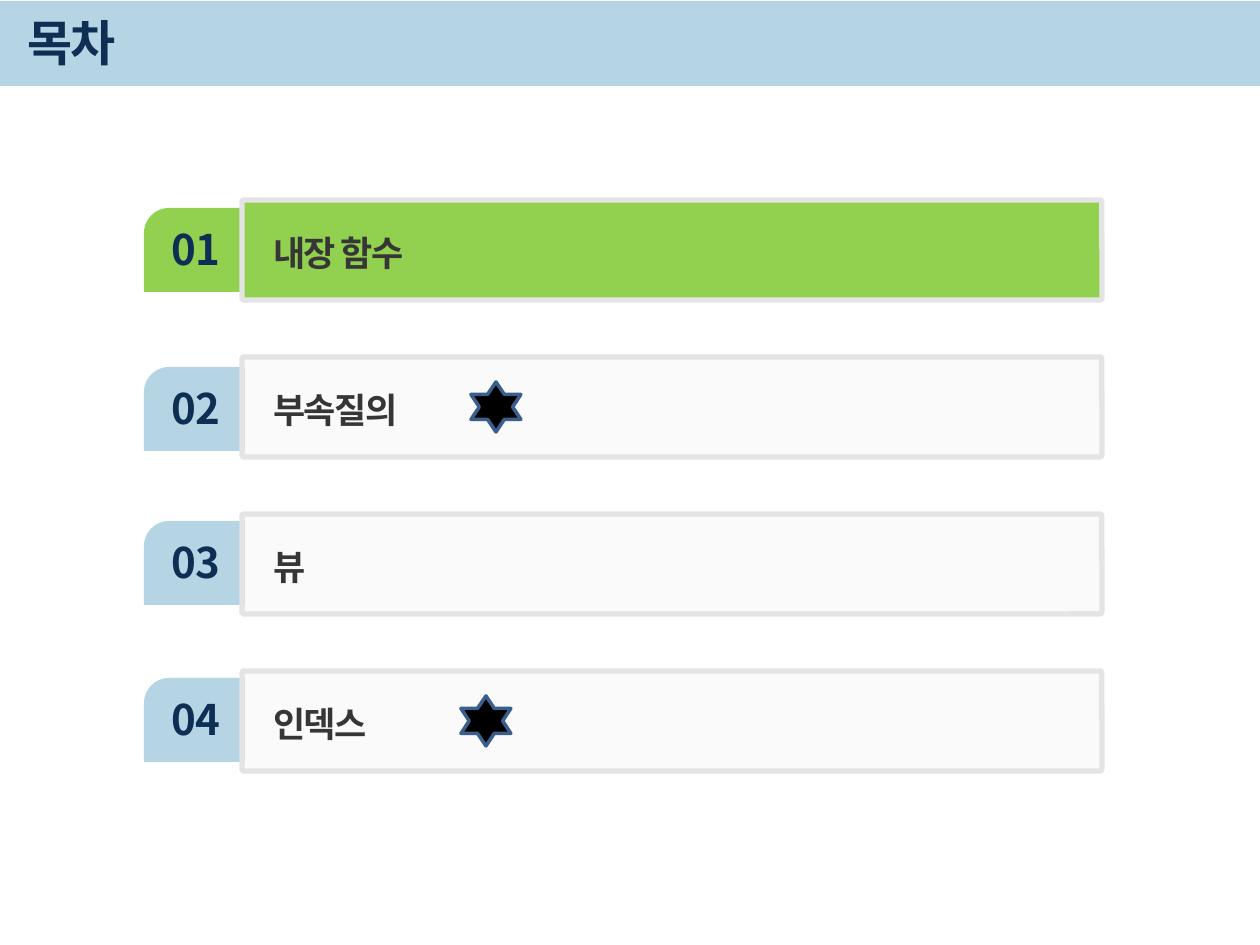
from lxml.etree import SubElement
from pptx import Presentation
from pptx.dml.color import RGBColor
from pptx.enum.shapes import MSO_SHAPE
from pptx.enum.text import MSO_ANCHOR, MSO_AUTO_SIZE, PP_ALIGN
from pptx.oxml.ns import qn
from pptx.util import Pt

PX = 914400 // 126
FACE = "Noto Sans CJK KR"
BLUE = RGBColor(0xB5, 0xD5, 0xE4)
GREEN = RGBColor(0x92, 0xD0, 0x50)
NAVY = RGBColor(0x0F, 0x2E, 0x53)
INK = RGBColor(0x36, 0x36, 0x36)
PALE = RGBColor(0xF2, 0xF2, 0xF2)
EDGE = RGBColor(0xE4, 0xE4, 0xE4)
BLACK = RGBColor(0, 0, 0)
STEEL = RGBColor(0x3A, 0x5F, 0x8C)

TITLE = "목차"
ROWS = [
    {"label": "내장 함수", "tab": 208, "active": True},
    {"label": "부속질의", "tab": 367, "star": 471},
    {"label": "뷰", "tab": 521},
    {"label": "인덱스", "tab": 678, "star": 461},
]
TOP, PITCH = 200, 157

HEAD = {"size": Pt(28), "bold": True, "name": FACE}
NUM = {"size": Pt(24), "bold": True, "name": FACE}
LABEL = {"size": Pt(20), "bold": True, "name": FACE}
TIGHT = {"word_wrap": False, "margin_left": 0, "margin_right": 0,
         "auto_size": MSO_AUTO_SIZE.SHAPE_TO_FIT_TEXT}


def scale(*box):
    return [n * PX for n in box]


def draw(slide, kind, box, fill, line=None, width=0, adj=(), alpha=None):
    shape = slide.shapes.add_shape(kind, *scale(*box))
    shape.shadow.inherit = False
    for i, val in enumerate(adj):
        shape.adjustments[i] = val
    shape.fill.solid()
    shape.fill.fore_color.rgb = fill
    if alpha:
        tint = shape.fill._xPr.find(qn("a:solidFill"))[0]
        SubElement(tint, qn("a:alpha")).set("val", str(alpha * 1000))
    if line is None:
        shape.line.fill.background()
    else:
        shape.line.color.rgb = line
        shape.line.width = Pt(width)
    return shape


def write(slide, text, box, style, color, frame, para, space=0):
    body = slide.shapes.add_textbox(*scale(*box)).text_frame
    part = body.paragraphs[0]
    run = part.add_run()
    run.text = text
    for item, vals in ((body, frame), (part, para), (run.font, style)):
        for key, val in vals.items():
            setattr(item, key, val)
    run.font.color.rgb = color
    props = run._r.get_or_add_rPr()
    SubElement(props, qn("a:ea")).set("typeface", FACE)
    if space:
        props.set("spc", str(space))


def main():
    deck = Presentation()
    deck.slide_width, deck.slide_height = scale(1260, 945)
    slide = deck.slides.add_slide(deck.slide_layouts[6])

    draw(slide, MSO_SHAPE.RECTANGLE, (0, 1, 1260, 85), BLUE)
    write(slide, TITLE, (15, 9, 1072, 66), HEAD, NAVY,
          {"word_wrap": True, "vertical_anchor": MSO_ANCHOR.MIDDLE}, {}, -100)

    for i, row in enumerate(ROWS):
        top, tab = TOP + i * PITCH, row["tab"]
        live = row.get("active")
        draw(slide, MSO_SHAPE.SNIP_ROUND_RECTANGLE, (144, tab, 101, 84),
             GREEN if live else BLUE, adj=(0.3, 0))
        write(slide, f"{i + 1:02}", (159, tab + 9, 74, 63), NUM, NAVY,
              TIGHT, {"alignment": PP_ALIGN.CENTER})
        draw(slide, MSO_SHAPE.ROUNDED_RECTANGLE, (242, top, 860, 100),
             GREEN if live else PALE, EDGE, 3, (0.02,), None if live else 33)
        write(slide, row["label"], (261, top + 21, 665, 56), LABEL, INK,
              {"word_wrap": True}, {"line_spacing": 1.1, "space_after": Pt(3)}, -100)

    for i, row in enumerate(ROWS):
        if "star" in row:
            box = (row["star"], TOP + i * PITCH + 25, 50, 50)
            draw(slide, MSO_SHAPE.STAR_6_POINT, box, BLACK, STEEL, 2)

    deck.save("out.pptx")


if __name__ == "__main__":
    main()
